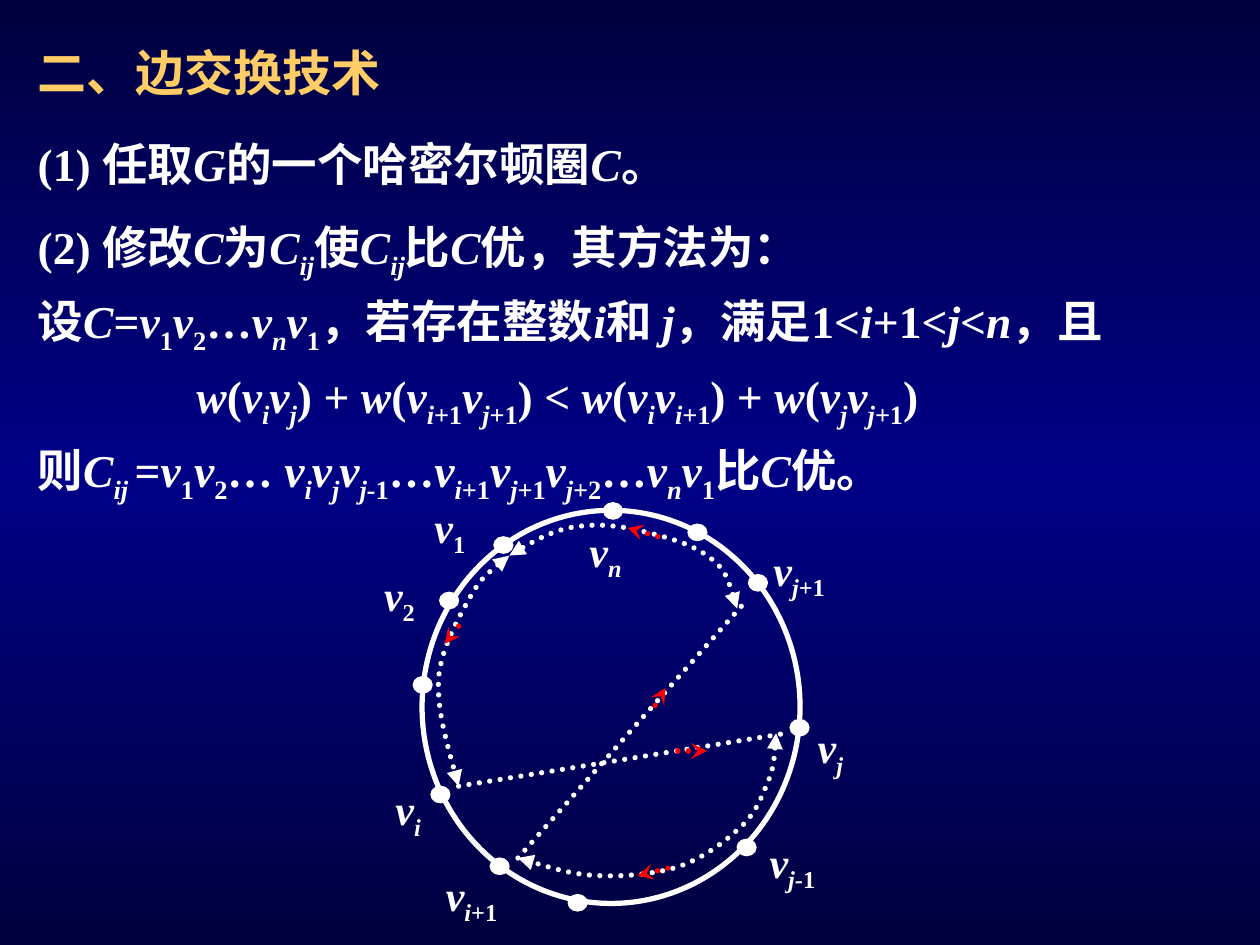
from copy import deepcopy
from dataclasses import dataclass

from lxml import etree
from pptx import Presentation
from pptx import util as u
from pptx.dml.color import RGBColor
from pptx.enum import dml, shapes, text
from pptx.oxml.ns import qn


@dataclass(frozen=True)
class Theme:
    edge: str = "00003E"
    middle: str = "000086"
    title: str = "FFCC66"
    ink: str = "FFFFFF"
    accent: str = "FF0000"
    latin: str = "Times New Roman"
    asian: str = "Noto Sans CJK SC"
    title_size: int = 28
    body_size: int = 26
    label_size: int = 24
    thick: float = 3
    thin: float = 0.75


@dataclass(frozen=True)
class Box:
    left: float
    top: float
    width: float
    height: float
    columns: int = 1
    rows: int = 1

    def point(self, column, row):
        return (u.Inches(self.left + self.width * column / self.columns),
                u.Inches(self.top + self.height * row / self.rows))

    def extent(self, columns, rows):
        return (u.Inches(self.width * columns / self.columns),
                u.Inches(self.height * rows / self.rows))


THEME = Theme()
TITLE = Box(0.2, 0.29, 3.07, 0.57)
FIRST_STEP = Box(0.2, 1.03, 6.25, 0.54)
SECOND_STEP = Box(0.2, 1.59, 9.45, 2.47)
CYCLE = Box(3.35, 4.05, 3, 3.12, columns=26, rows=28)

STEP_LINES = [
    "(2) 修改*C*为*C[ij]*使*C[ij]*比*C*优，其方法为：",
    "设*C*=*v*[1]*v*[2]…*v[n]v*[1]，若存在整数*i*和 *j*，满足1<*i*+1<*j*<*n*，且",
    "*w*(*v[i]v[j]*) + *w*(*v[i*+1]*v[j*+1]) < *w*(*v[i]v[i*+1]) + *w*(*v[j]v[j*+1])",
    "则*C[ij ]*=*v*[1]*v*[2]… *v[i]v[j]v[j-*1]…*v[i*+1]*v[j*+1]*v[j*+2]…*v[n]v*[1]比*C*优。",
]
INDENTS = [0, 0, 1.26, 0]

MARKS = [(14, 0), (0, 12), (6, 26), (26, 16), (6, 2), (2, 22),
         (22, 24), (20, 2), (2, 6), (14, 28), (24, 6)]
NODES = [(13.13, 0.04), (18.94, 1.57), (5.59, 2.47), (1.86, 6.42), (0.04, 12.43), (1.26, 20.24),
         (5.33, 25.35), (10.7, 27.95), (22.32, 24.01), (25.96, 15.48), (23.1, 5.16)]
LABELS = [("*v*[2]", -3.47, 3.77, 7.28), ("*v*[1]", 0, -1.08, 4.6), ("*v[n]*", 10.66, 0.63, 4.16),
          ("*v[i]*", -2.69, 19.03, 7.28), ("*v[i*+1]", 0.78, 25.13, 7.28),
          ("*v[j*-1]", 23.05, 22.79, 7.28), ("*v[j]*", 26.35, 14.63, 4.16),
          ("*v[j*+1]", 23.31, 1.97, 7.28)]
ARCS = [
    [(6, 3.23), (5.03, 4.04), (3.99, 4.85), (3.21, 6.37), (2.43, 7.81), (1.3, 9.87),
     (1.13, 12.03), (1.04, 14.27), (1.82, 16.96), (2.51, 19.65)],
    [(24.35, 15.88), (24.27, 17.23), (24.18, 18.49), (23.66, 19.65), (23.23, 20.82),
     (22.71, 21.9), (21.67, 22.79), (20.63, 23.78), (19.15, 24.86), (17.59, 25.4),
     (15.95, 25.93), (13.87, 26.11), (12.05, 26.02), (10.23, 25.93), (8.41, 25.31),
     (6.59, 24.77)],
    [(21.67, 7), (21.23, 5.56), (20.89, 4.13), (19.59, 3.23), (18.37, 2.24), (15.77, 1.62),
     (14.13, 1.26), (12.57, 0.99), (11.44, 0.99), (10.05, 1.26), (8.67, 1.62), (7.28, 2.42),
     (6, 3.23)],
]
CHORDS = [((2.51, 19.65), (25.05, 15.88)), ((6.59, 24.77), (22.36, 6.37))]
DIRECTIONS = [((16.21, 1.88), (14.13, 1.26)), ((17.59, 17.14), (19.59, 17.14)),
              ((16.9, 25.49), (14.82, 26.02)), ((16.03, 13.91), (16.73, 12.65)),
              ((2.51, 8.26), (1.56, 9.51))]


def split_markup(markup):
    pieces, current, italic, lowered = [], "", False, False
    for letter in markup:
        if letter not in "*[]":
            current += letter
            continue
        if current:
            pieces.append((current, italic, lowered))
            current = ""
        if letter == "*":
            italic = not italic
        else:
            lowered = letter == "["
    if current:
        pieces.append((current, italic, lowered))
    return pieces


def write(para, markup, *, size, color=THEME.ink, spacing=None, indent=0):
    para.line_spacing = spacing
    if indent:
        para._p.get_or_add_pPr().set("marL", str(u.Inches(indent)))
    for words, italic, lowered in split_markup(markup):
        span = para.add_run()
        span.text = words
        font = span.font
        font.name, font.size, font.bold, font.italic = THEME.latin, u.Pt(size), True, italic
        font.color.rgb = RGBColor.from_string(color)
        properties = span._r.get_or_add_rPr()
        etree.SubElement(properties, qn("a:ea"), typeface=THEME.asian)
        if lowered:
            properties.set("baseline", "-25000")


def add_text(parent, position, extent, lines, indents=(0,), **style):
    frame = parent.add_textbox(*position, *extent).text_frame
    frame.word_wrap = True
    frame.auto_size = text.MSO_AUTO_SIZE.SHAPE_TO_FIT_TEXT
    for index, (markup, indent) in enumerate(zip(lines, indents)):
        para = frame.add_paragraph() if index else frame.paragraphs[0]
        write(para, markup, indent=indent, **style)


def style_line(shape, *, color=THEME.ink, width=THEME.thick, dotted=False, head=None, tail=None):
    shape.line.color.rgb = RGBColor.from_string(color)
    shape.line.width = u.Pt(width)
    outline = shape._element.spPr.find(qn("a:ln"))
    if dotted:
        shape.line.dash_style = dml.MSO_LINE.ROUND_DOT
        outline.set("cap", "rnd")
    for tag, kind in (("a:headEnd", head), ("a:tailEnd", tail)):
        if kind:
            etree.SubElement(outline, qn(tag), type=kind)


def add_line(parent, start, end, **style):
    line = parent.add_connector(shapes.MSO_CONNECTOR.STRAIGHT, *start, *end)
    style_line(line, **style)
    etree.SubElement(line._element.spPr, qn("a:effectLst"))


def add_ellipse(parent, position, extent, *, filled, width):
    ellipse = parent.add_shape(shapes.MSO_SHAPE.OVAL, *position, *extent)
    ellipse.shadow.inherit = False
    if filled:
        ellipse.fill.solid()
        ellipse.fill.fore_color.rgb = RGBColor.from_string(THEME.ink)
    else:
        ellipse.fill.background()
    style_line(ellipse, width=width)


def add_curve(parent, points, **style):
    builder = parent.build_freeform(*points[0], scale=1.0)
    builder.add_line_segments(points[1:], close=False)
    curve = builder.convert_to_shape()
    curve.shadow.inherit = False
    curve.fill.background()
    style_line(curve, **style)
    outline = next(curve._element.iter(qn("a:path")))
    segments = outline.findall(qn("a:lnTo"))
    for first in range(0, len(segments), 3):
        bend = etree.SubElement(outline, qn("a:cubicBezTo"))
        for segment in segments[first:first + 3]:
            bend.append(segment[0])
            outline.remove(segment)


def draw_background(page):
    fill = page.background.fill
    fill.gradient()
    fill.gradient_angle = 90
    stops = page._element.xpath(".//a:gsLst")[0]
    stops.insert(1, deepcopy(stops[0]))
    for stop, color, place in zip(fill.gradient_stops, (THEME.edge, THEME.middle, THEME.edge),
                                  (0, 0.5, 1)):
        stop.color.rgb = RGBColor.from_string(color)
        stop.position = place


def draw_text(page, box, lines, **style):
    add_text(page.shapes, box.point(0, 0), box.extent(1, 1), lines, **style)


def draw_cycle(page, box):
    parts = page.shapes.add_group_shape().shapes
    add_ellipse(parts, box.point(0, 0), box.extent(26, 28), filled=False, width=THEME.thick)
    for mark in MARKS:
        place = box.point(*mark)
        add_line(parts, place, place, width=THEME.thin, head="oval", tail="oval")
    for column, row in NODES:
        add_ellipse(parts, box.point(column - 0.65, row - 0.58), box.extent(1.3, 1.17),
                    filled=True, width=THEME.thin)
    for label, column, row, width in LABELS:
        add_text(parts, box.point(column, row), box.extent(width, 5.03), [label],
                 size=THEME.label_size)
    for arc in ARCS:
        add_curve(parts, [box.point(*place) for place in arc],
                  dotted=True, head="triangle", tail="triangle")
    for start, end in CHORDS:
        add_line(parts, box.point(*start), box.point(*end), dotted=True)
    for start, end in DIRECTIONS:
        add_line(parts, box.point(*start), box.point(*end), color=THEME.accent,
                 dotted=True, tail="stealth")


def main():
    deck = Presentation()
    deck.slide_width, deck.slide_height = u.Inches(10), u.Inches(7.5)
    page = deck.slides.add_slide(deck.slide_layouts[6])
    draw_background(page)
    draw_text(page, TITLE, ["二、边交换技术"], size=THEME.title_size, color=THEME.title)
    draw_text(page, FIRST_STEP, ["(1) 任取*G*的一个哈密尔顿圈*C*。"], size=THEME.body_size)
    draw_cycle(page, CYCLE)
    draw_text(page, SECOND_STEP, STEP_LINES, indents=INDENTS, size=THEME.body_size, spacing=1.2)
    deck.save("out.pptx")


if __name__ == "__main__":
    main()
